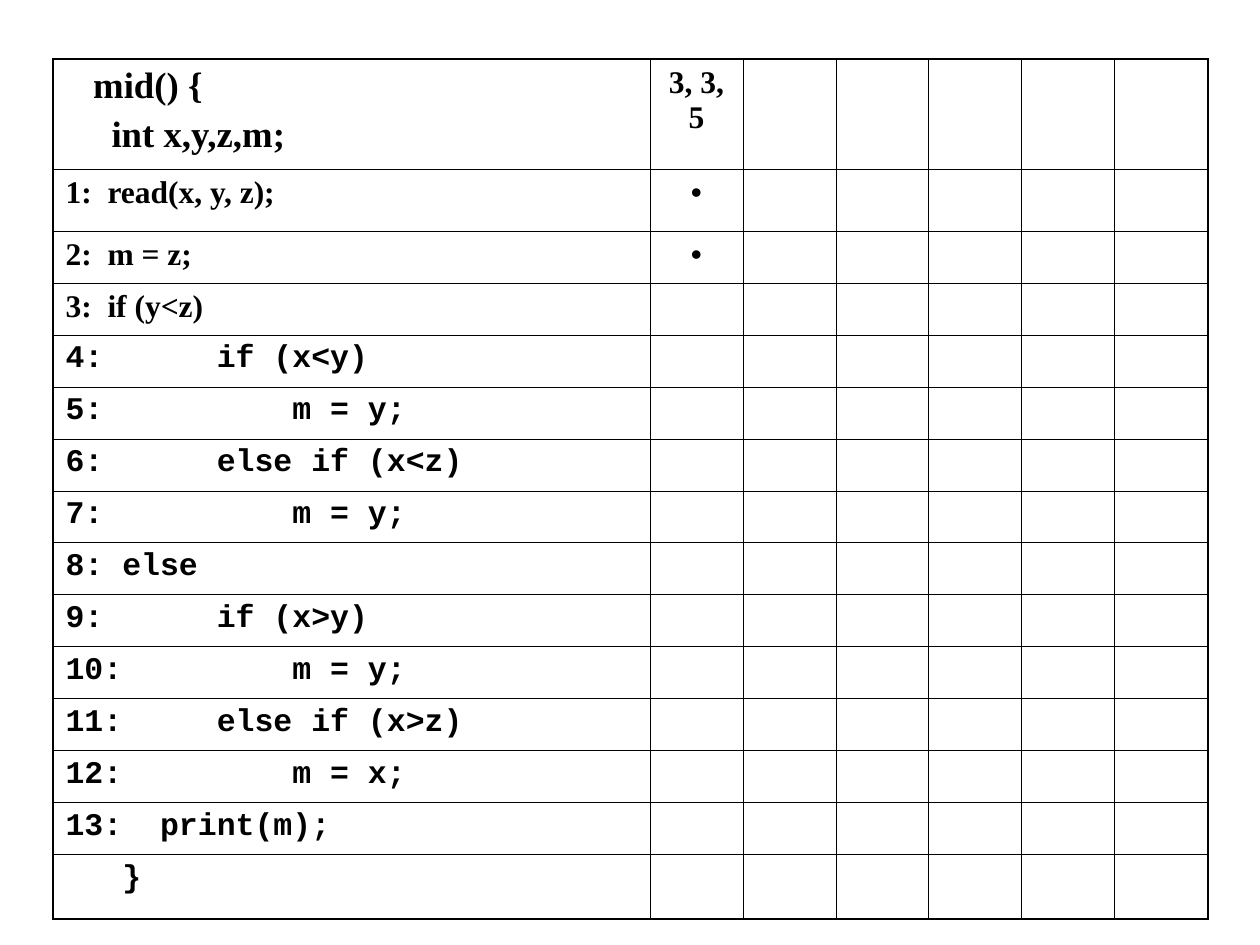
from lxml import etree
from pptx import Presentation
from pptx.dml.color import RGBColor
from pptx.enum.text import PP_ALIGN
from pptx.oxml.ns import qn
from pptx.util import Emu, Pt

LEFT, CENTER = PP_ALIGN.LEFT, PP_ALIGN.CENTER
SCALE = 914400 / 126
COLORS = {"ink": "000000", "paper": "FFFFFF"}
SERIF, MONO, SANS = "Times New Roman", "Courier New", "Arial"
THIN, THICK = 0.45, 1.08

HEADER = "   mid() {\n     int x,y,z,m;"
SERIF_LINES = ["1:  read(x, y, z);", "2:  m = z;", "3:  if (y<z)"]
MONO_LINES = [
    "4:      if (x<y)",
    "5:          m = y;",
    "6:      else if (x<z)",
    "7:          m = y;",
    "8: else",
    "9:      if (x>y)",
    "10:         m = y;",
    "11:     else if (x>z)",
    "12:         m = x;",
    "13:  print(m);",
    "   }",
]
TEST_CASE = "3, 3, 5"
COVERED_ROWS = (1, 2)
COL_WIDTHS = [597] + [93] * 6
ROW_HEIGHTS = [110, 62] + [52] * 12 + [64]


def px(n):
    return Emu(round(n * SCALE))


class Deck:
    def __init__(self, width, height):
        self.prs = Presentation()
        self.prs.slide_width, self.prs.slide_height = px(width), px(height)
        self.s = self.prs.slides.add_slide(self.prs.slide_layouts[6])

    def rgb(self, name):
        return RGBColor.from_string(COLORS[name])

    def table(self, x, y, widths, heights):
        frame = self.s.shapes.add_table(
            len(heights), len(widths), px(x), px(y), px(sum(widths)), px(sum(heights)))
        tbl = frame.table
        tbl.first_row = tbl.horz_banding = False
        for col, width in zip(tbl.columns, widths):
            col.width = px(width)
        for row, height in zip(tbl.rows, heights):
            row.height = px(height)
        last_row, last_col = len(heights) - 1, len(widths) - 1
        for i in range(len(heights)):
            for j in range(len(widths)):
                cell = tbl.cell(i, j)
                self.borders(cell, {"L": j == 0, "R": j == last_col,
                                    "T": i == 0, "B": i == last_row})
                cell.fill.solid()
                cell.fill.fore_color.rgb = self.rgb("paper")
        return tbl

    def borders(self, cell, outer_sides):
        tcPr = cell._tc.get_or_add_tcPr()
        for side, outer in outer_sides.items():
            width = Pt(THICK if outer else THIN)
            ln = etree.SubElement(tcPr, qn(f"a:ln{side}"), w=str(width))
            fill = etree.SubElement(ln, qn("a:solidFill"))
            etree.SubElement(fill, qn("a:srgbClr"), val=COLORS["ink"])

    def cell_text(self, cell, text, font, size=18, bold=True, align=LEFT):
        tf = cell.text_frame
        tf.text = text
        for i, p in enumerate(tf.paragraphs):
            p.alignment = align
            if i:
                p.space_before = Pt(5.2)
            for r in p.runs:
                r.font.name, r.font.size, r.font.bold = font, Pt(size), bold
                r.font.color.rgb = self.rgb("ink")


def main():
    deck = Deck(1260, 945)
    tbl = deck.table(53, 59, COL_WIDTHS, ROW_HEIGHTS)
    deck.cell_text(tbl.cell(0, 0), HEADER, SERIF, size=21)
    code = [(t, SERIF) for t in SERIF_LINES] + [(t, MONO) for t in MONO_LINES]
    for i, (text, font) in enumerate(code, start=1):
        deck.cell_text(tbl.cell(i, 0), text, font)
    deck.cell_text(tbl.cell(0, 1), TEST_CASE, SERIF, align=CENTER)
    for i in COVERED_ROWS:
        deck.cell_text(tbl.cell(i, 1), "•", SANS, bold=False, align=CENTER)
    deck.prs.save("out.pptx")


if __name__ == "__main__":
    main()
